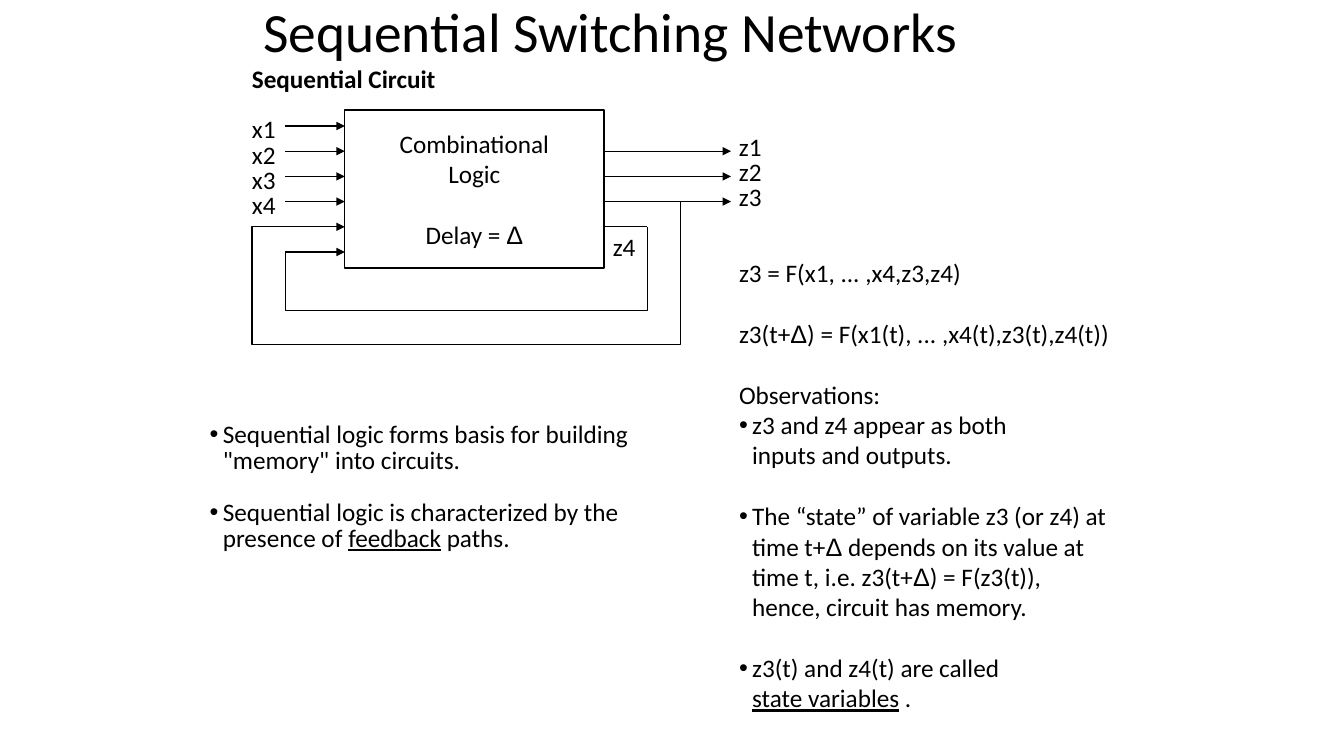
"""Build the slide on sequential switching networks."""
from collections import namedtuple

from lxml.etree import SubElement
from pptx import Presentation
from pptx.dml.color import RGBColor
from pptx.enum.shapes import MSO_CONNECTOR as Link, MSO_SHAPE as Shape
from pptx.enum.text import MSO_ANCHOR as Anchor, MSO_AUTO_SIZE as Fit, PP_ALIGN as Align
from pptx.oxml.ns import qn
from pptx.util import Inches, Pt

Theme = namedtuple("Theme", "ink font symbol title body line gap")
theme = Theme(RGBColor(0, 0, 0), "Calibri", "Arial", 39.6, 18, 1, 22)


def write(frame, text, size=theme.body, bold=False, align=Align.LEFT,
          bullet=False, gap=0, lead=1):
    """Add a paragraph: | splits runs, / breaks the line, _ underlines."""
    first = frame.paragraphs[0]
    para = first if not first.runs else frame.add_paragraph()
    props = para._p.get_or_add_pPr()
    hang = Inches(0.13) if bullet else 0
    props.set("marL", str(hang))
    props.set("indent", str(-hang))
    if bullet:
        SubElement(props, qn("a:buChar")).set("char", "•")
    else:
        SubElement(props, qn("a:buNone"))
    para.alignment = align
    para.line_spacing = lead
    para.space_before = Pt(gap)
    for part in text.split("|"):
        if part == "/":
            para.add_line_break()
            continue
        run = para.add_run()
        run.text = part.lstrip("_")
        font = run.font
        font.name = theme.symbol if part == "Δ" else theme.font
        font.size = Pt(size)
        font.bold = bold
        font.underline = part.startswith("_")
        font.color.rgb = theme.ink


deck = Presentation()
deck.slide_width, deck.slide_height = Inches(13.33), Inches(7.5)
slide = deck.slides.add_slide(deck.slide_layouts[3])
shapes = slide.shapes
title, left, right = list(slide.placeholders)[:3]
for extra in list(slide.placeholders)[3:]:
    extra.element.getparent().remove(extra.element)

for holder, spot in [(title, (2.51, 0.19, 8.66, 0.31)),
                     (left, (2.01, 4.17, 4.45, 1.35)),
                     (right, (7.23, 2.5, 3.94, 4.95))]:
    holder.left, holder.top, holder.width, holder.height = map(Inches, spot)
    holder.text_frame.auto_size = Fit.NONE

title.text_frame.vertical_anchor = Anchor.MIDDLE
write(title.text_frame, "Sequential Switching Networks", size=theme.title, lead=0.9)

notes = left.text_frame
notes.margin_left = notes.margin_right = Inches(0.07)
notes.margin_top = notes.margin_bottom = Inches(0.03)
write(notes, 'Sequential logic forms basis for building|/|"memory" into circuits.',
      bullet=True, lead=0.85)
write(notes, "Sequential logic is characterized by the|/|presence of |_feedback| paths.",
      bullet=True, lead=0.85, gap=0.85 * theme.gap)

facts = right.text_frame
write(facts, "z3 = F(x1, ... ,x4,z3,z4)")
write(facts, "z3(t+|Δ|) = F(x1(t), ... ,x4(t),z3(t),z4(t))", gap=theme.gap)
write(facts, "Observations:", gap=theme.gap)
write(facts, "z3 and z4 appear as both|/|inputs and outputs.", bullet=True)
write(facts, "The “state” of variable z3 (or z4) at|/|time t+|Δ| depends on its value at|/|"
      "time t, i.e. z3(t+|Δ|) = F(z3(t)),|/|hence, circuit has memory.",
      bullet=True, gap=theme.gap)
write(facts, "z3(t) and z4(t) are called|/|_state variables| .", bullet=True, gap=theme.gap)

logic = shapes.add_shape(Shape.RECTANGLE, *map(Inches, (3.42, 1.09, 2.57, 1.57)))
logic.shadow.inherit = False
logic.fill.background()
logic.line.color.rgb = theme.ink
logic.line.width = Pt(theme.line)
logic.text_frame.vertical_anchor = Anchor.MIDDLE
write(logic.text_frame, "Combinational", align=Align.CENTER)
write(logic.text_frame, "Logic", align=Align.CENTER)
write(logic.text_frame, "Delay = |Δ", align=Align.CENTER, gap=theme.gap)

step = 0.25
wires = [(2.83, 3.42, 1.25 + step * row, True) for row in range(6)]
wires += [(6, 7.25, 1.5 + step * row, True) for row in range(3)]
wires.append((6, 6.42, 2.25, False))
for start, end, y, arrow in wires:
    wire = shapes.add_connector(Link.STRAIGHT, *map(Inches, (start, y, end, y)))
    wire.line.color.rgb = theme.ink
    wire.line.width = Pt(theme.line)
    if arrow:
        SubElement(wire.line._get_or_add_ln(), qn("a:tailEnd")).set("type", "triangle")
    SubElement(wire.element.spPr, qn("a:effectLst"))

loops = [
    [(2.83, 2.5), (2.83, 3.08), (6.42, 3.08), (6.42, 2.25)],
    [(2.83, 2.25), (2.5, 2.25), (2.5, 3.42), (6.75, 3.42), (6.75, 2)],
]
for points in loops:
    spots = [(Inches(x), Inches(y)) for x, y in points]
    pen = shapes.build_freeform(*spots[0])
    pen.add_line_segments(spots[1:], close=False)
    loop = pen.convert_to_shape()
    loop.shadow.inherit = False
    loop.fill.background()
    loop.line.color.rgb = theme.ink
    loop.line.width = Pt(theme.line)

labels = [(f"x{row + 1}", 2.4, 1.08 + step * row, 0.44) for row in range(4)]
labels += [(f"z{row + 1}", 7.23, 1.25 + step * row, 0.43) for row in range(3)]
labels.append(("z4", 5.98, 2.25, 0.43))
labels.append(("Sequential Circuit", 2.4, 0.58, 2.04))
for text, x, y, width in labels:
    box = shapes.add_textbox(*map(Inches, (x, y, width, 0.4)))
    write(box.text_frame, text, bold=text == "Sequential Circuit")

deck.save("out.pptx")
